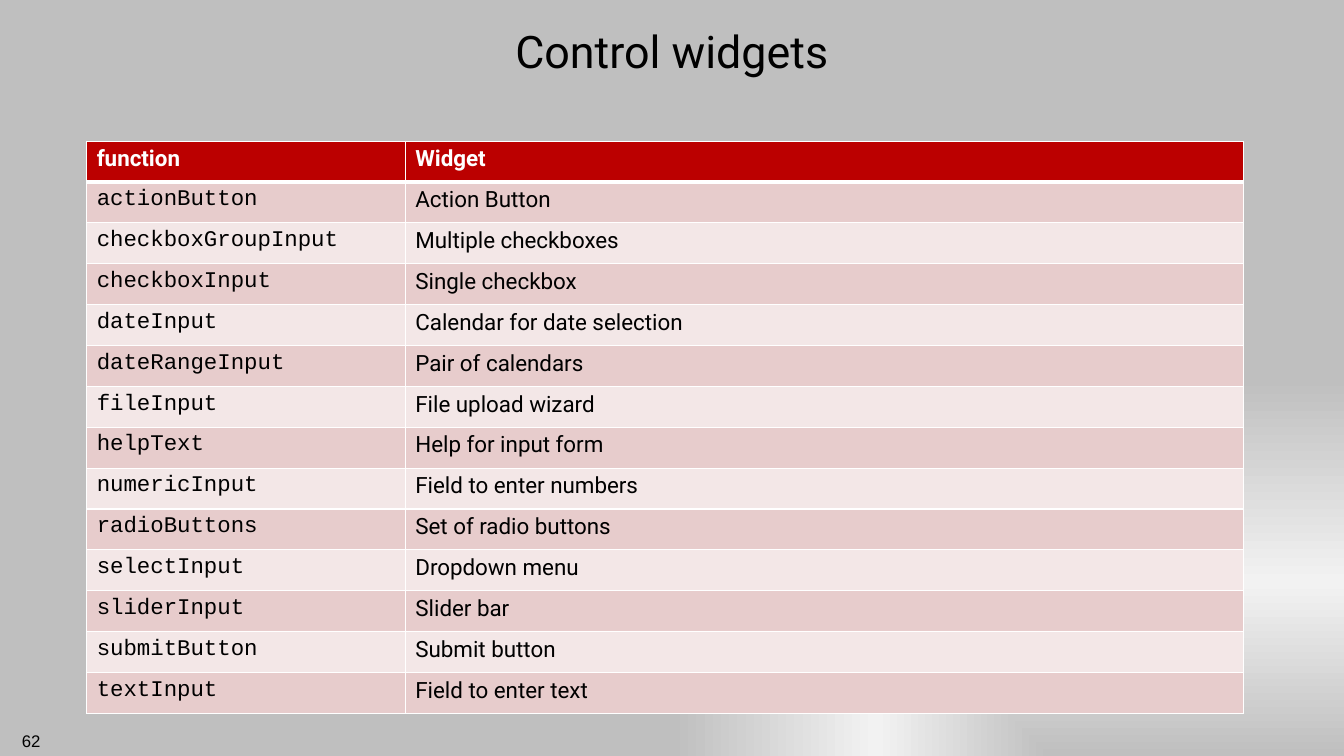
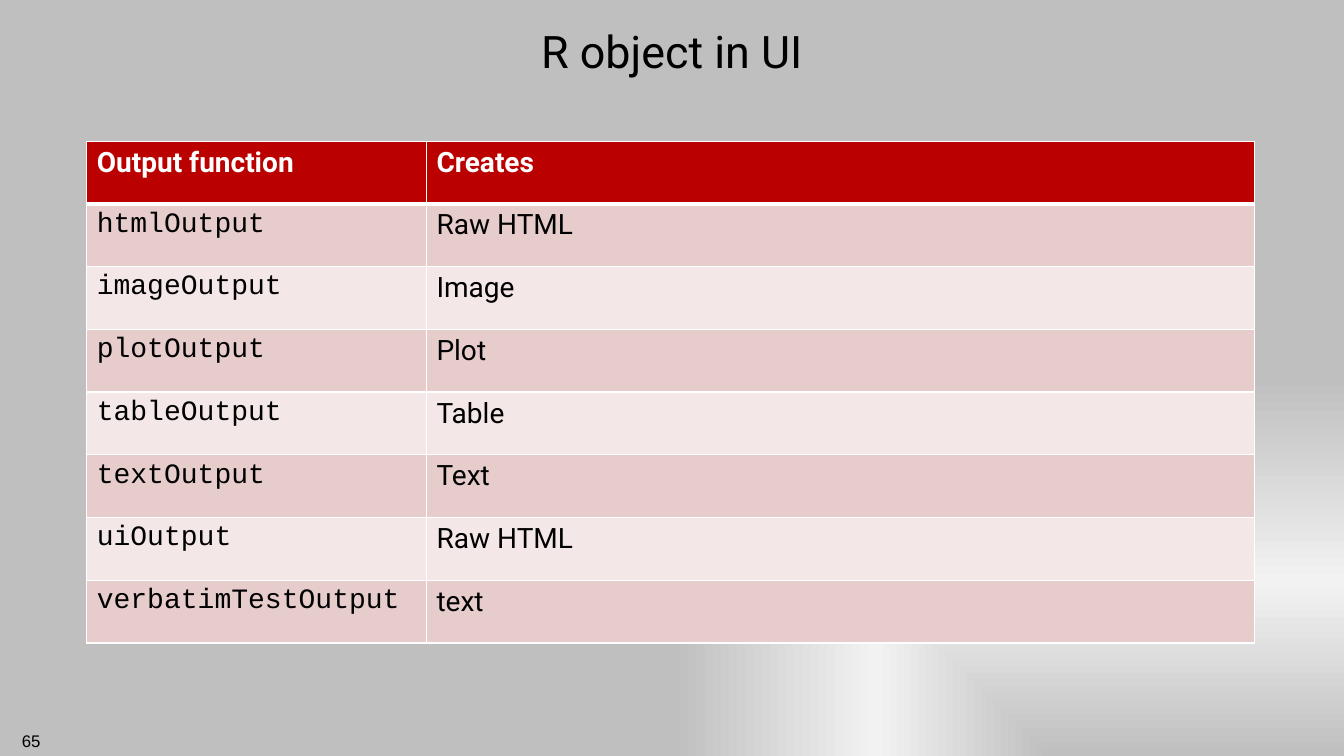
from dataclasses import dataclass

from lxml import etree
from pptx import Presentation
from pptx import util as u
from pptx.dml import color
from pptx.enum import text
from pptx.oxml import ns


@dataclass(frozen=True)
class Theme:
    # Colours
    edge: str = "BFBFBF"
    glow: str = "F2F2F2"
    ink: str = "000000"
    white: str = "FFFFFF"
    header: str = "BB0000"
    bands: tuple = ("E7CCCC", "F3E7E7")
    # Fonts and type sizes
    body_font: str = "Roboto"
    code_font: str = "Courier New"
    number_font: str = "Arial"
    title_size: int = 32
    number_size: int = 12
    # Border widths in points
    thin: int = 1
    thick: int = 3


class Deck:
    """Holds the theme and the current slide."""

    def __init__(self, theme):
        self.theme = theme
        self.presentation = Presentation()
        self.presentation.slide_width = u.Inches(13.33)
        self.presentation.slide_height = u.Inches(7.5)
        self.slide = None

    def add_slide(self, title, number):
        theme = self.theme
        self.slide = self.presentation.slides.add_slide(self.presentation.slide_layouts[6])
        self.paint_background()
        self.add_text(str(number), (0, 7.2, 0.5, 0.3), theme.number_font,
                      theme.number_size, text.PP_ALIGN.RIGHT, text.MSO_ANCHOR.TOP)
        self.add_text(title, (1, 0, 11.33, 1), theme.body_font,
                      theme.title_size, text.PP_ALIGN.CENTER, text.MSO_ANCHOR.MIDDLE)

    def paint_background(self):
        """Gradient that spreads from the bottom right corner."""
        self.slide.background.fill.solid()
        properties = self.slide.element.find(".//" + ns.qn("p:bgPr"))
        gradient = etree.Element(ns.qn("a:gradFill"), rotWithShape="1")
        stops = etree.SubElement(gradient, ns.qn("a:gsLst"))
        for percent, shade in ((0, self.theme.edge), (46, self.theme.glow), (100, self.theme.edge)):
            stop = etree.SubElement(stops, ns.qn("a:gs"), pos=str(percent * 1000))
            etree.SubElement(stop, ns.qn("a:srgbClr"), val=shade)
        shape_path = etree.SubElement(gradient, ns.qn("a:path"), path="rect")
        etree.SubElement(shape_path, ns.qn("a:fillToRect"), l="100000", t="100000")
        properties.replace(properties[0], gradient)

    def add_text(self, words, box, font, size, alignment, anchor):
        shape = self.slide.shapes.add_textbox(*map(u.Inches, box))
        frame = shape.text_frame
        frame.word_wrap = True
        frame.vertical_anchor = anchor
        if anchor == text.MSO_ANCHOR.MIDDLE:
            frame.margin_top = frame.margin_bottom = u.Inches(0.1)
        frame.text = words
        frame.paragraphs[0].alignment = alignment
        self.format_runs(frame, font, size, self.theme.ink)

    def format_runs(self, frame, font, size, shade, bold=False):
        for paragraph in frame.paragraphs:
            for run in paragraph.runs:
                run.font.name = font
                run.font.size = u.Pt(size)
                run.font.bold = bold
                run.font.color.rgb = color.RGBColor.from_string(shade)

    def add_table(self, rows, column_widths, height, size):
        """The first row is the header; the first column below it is code."""
        theme = self.theme
        frame = self.slide.shapes.add_table(
            len(rows), len(column_widths), u.Inches(0.86), u.Inches(1.4),
            u.Inches(sum(column_widths)), u.Inches(height))
        table = frame.table
        for column, width in zip(table.columns, column_widths):
            column.width = u.Inches(width)
        for row_index, row in enumerate(rows):
            is_header = row_index == 0
            table.rows[row_index].height = u.Inches(height / len(rows))
            for column_index, words in enumerate(row):
                cell = table.cell(row_index, column_index)
                cell.text_frame.text = words
                is_code = column_index == 0 and not is_header
                self.format_runs(cell.text_frame,
                                 theme.code_font if is_code else theme.body_font, size,
                                 theme.white if is_header else theme.ink, is_header)
                shade = theme.header if is_header else theme.bands[(row_index - 1) % 2]
                cell.fill.solid()
                cell.fill.fore_color.rgb = color.RGBColor.from_string(shade)
                self.add_borders(cell,
                                 top=theme.thick if row_index == 1 else theme.thin,
                                 bottom=theme.thick if is_header else theme.thin)

    def add_borders(self, cell, top, bottom):
        properties = cell.fill and cell.text_frame and cell._tc.get_or_add_tcPr()
        sides = (("L", self.theme.thin), ("R", self.theme.thin), ("T", top), ("B", bottom))
        for position, (side, width) in enumerate(sides):
            line = etree.Element(ns.qn("a:ln" + side), w=str(u.Pt(width)))
            fill = etree.SubElement(line, ns.qn("a:solidFill"))
            etree.SubElement(fill, ns.qn("a:srgbClr"), val=self.theme.white)
            properties.insert(position, line)


WIDGETS = [
    ("function", "Widget"),
    ("actionButton", "Action Button"),
    ("checkboxGroupInput", "Multiple checkboxes"),
    ("checkboxInput", "Single checkbox"),
    ("dateInput", "Calendar for date selection"),
    ("dateRangeInput", "Pair of calendars"),
    ("fileInput", "File upload wizard"),
    ("helpText", "Help for input form"),
    ("numericInput", "Field to enter numbers"),
    ("radioButtons", "Set of radio buttons"),
    ("selectInput", "Dropdown menu"),
    ("sliderInput", "Slider bar"),
    ("submitButton", "Submit button"),
    ("textInput", "Field to enter text"),
]

OUTPUTS = [
    ("Output function", "Creates"),
    ("htmlOutput", "Raw HTML"),
    ("imageOutput", "Image"),
    ("plotOutput", "Plot"),
    ("tableOutput", "Table"),
    ("textOutput", "Text"),
    ("uiOutput", "Raw HTML"),
    ("verbatimTestOutput", "text"),
]


def main():
    deck = Deck(Theme())

    # Input widgets
    deck.add_slide("Control widgets", 62)
    deck.add_table(WIDGETS, (3.16, 8.31), height=5.68, size=16)

    # Output functions
    deck.add_slide("R object in UI", 65)
    deck.add_table(OUTPUTS, (3.37, 8.21), height=4.98, size=20)

    deck.presentation.save("out.pptx")


if __name__ == "__main__":
    main()
